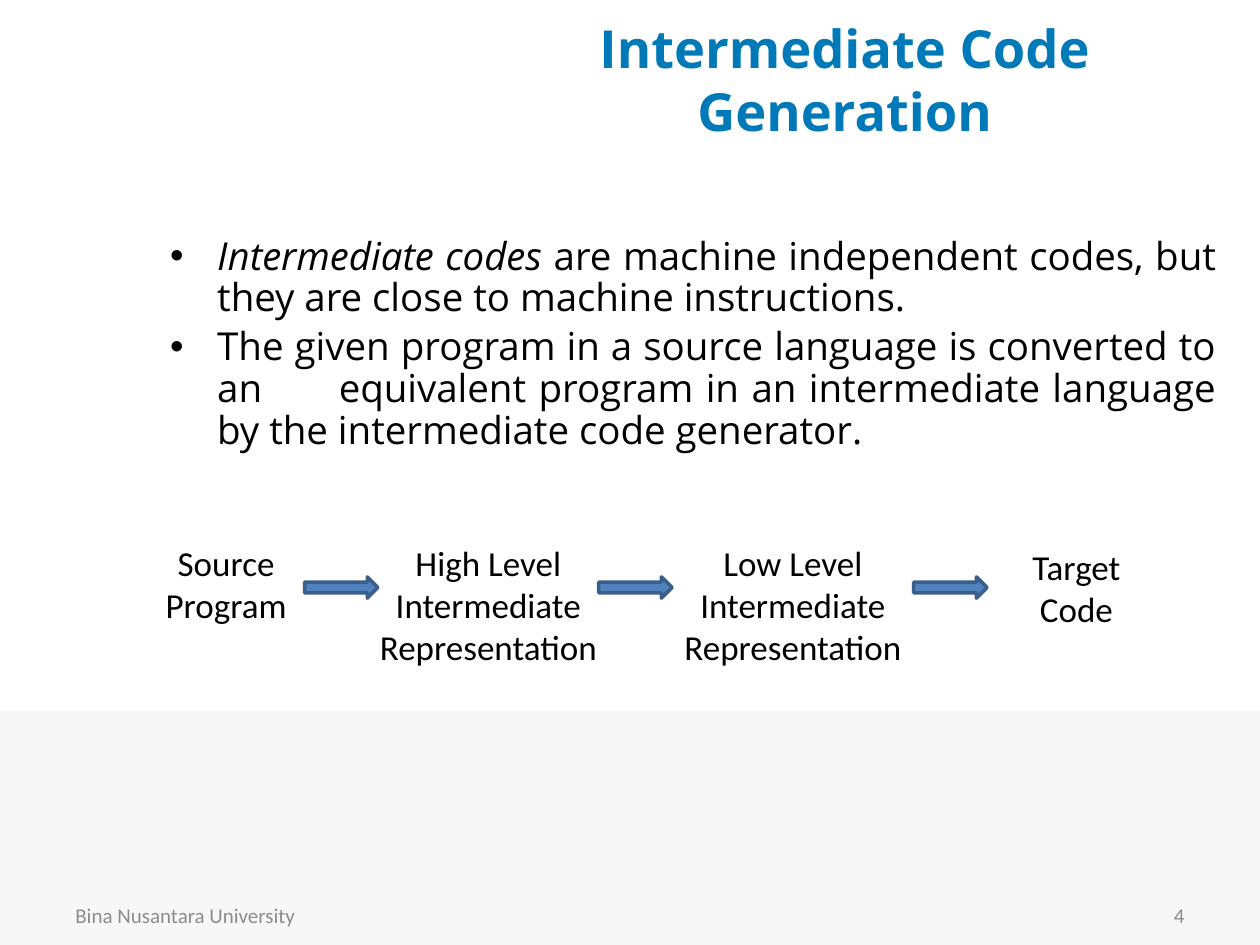
from lxml import etree
from pptx import Presentation
from pptx.dml.color import RGBColor
from pptx.enum.shapes import MSO_SHAPE
from pptx.enum.text import MSO_ANCHOR, PP_ALIGN
from pptx.oxml.ns import qn
from pptx.util import Cm, Pt

RECTANGLE = MSO_SHAPE.RECTANGLE
RIGHT_ARROW = MSO_SHAPE.RIGHT_ARROW
TOP, MIDDLE = MSO_ANCHOR.TOP, MSO_ANCHOR.MIDDLE
LEFT, CENTER, RIGHT, JUSTIFY = PP_ALIGN.LEFT, PP_ALIGN.CENTER, PP_ALIGN.RIGHT, PP_ALIGN.JUSTIFY

COLORS = {
    "band": "F7F7F7",
    "title": "0079B8",
    "text": "000000",
    "footer": "8C8C8C",
    "arrow": "4F81BD",
    "arrow_line": "3A5F8C",
}
HEADING_FONT = "Open Sans"
LABEL_FONT = "Calibri"

BULLETS = [
    [("Intermediate codes", True),
     (" are machine independent codes, but they are close to machine instructions.", False)],
    [("The given program in a source language is converted to an\tequivalent program "
      "in an intermediate language by the intermediate code generator.", False)],
]
STAGES = [
    (2.97, 10.8, 3.18, ["Source", "Program"]),
    (7.2, 10.8, 5.29, ["High Level", "Intermediate", "Representation"]),
    (13.34, 10.8, 5.29, ["Low Level", "Intermediate", "Representation"]),
    (19.69, 10.88, 4.02, ["Target", "Code"]),
]
ARROW_LEFTS = [6.14, 12.07, 18.42]


class SlideBuilder:
    def __init__(self, presentation):
        self.slide = presentation.slides.add_slide(presentation.slide_layouts[6])

    def color(self, name):
        return RGBColor.from_string(COLORS[name])

    def style(self, paragraph, font_name, size, color, bold=False):
        font = paragraph.font
        font.name, font.size, font.bold = font_name, Pt(size), bold
        font.color.rgb = self.color(color)

    def shape(self, kind, left, top, width, height, fill, line=None):
        shape = self.slide.shapes.add_shape(kind, Cm(left), Cm(top), Cm(width), Cm(height))
        shape.shadow.inherit = False
        shape.fill.solid()
        shape.fill.fore_color.rgb = self.color(fill)
        if line:
            shape.line.color.rgb = self.color(line)
            shape.line.width = Pt(2)
        else:
            shape.line.fill.background()

    def frame(self, left, top, width, height, anchor):
        box = self.slide.shapes.add_textbox(Cm(left), Cm(top), Cm(width), Cm(height))
        box.text_frame.word_wrap = True
        box.text_frame.vertical_anchor = anchor
        return box.text_frame

    def text(self, left, top, width, height, lines, font_name, size, color,
             alignment=LEFT, anchor=MIDDLE, bold=False):
        frame = self.frame(left, top, width, height, anchor)
        frame.text = "\n".join(lines)
        for paragraph in frame.paragraphs:
            paragraph.alignment = alignment
            self.style(paragraph, font_name, size, color, bold)

    def bullets(self, left, top, width, height, items):
        frame = self.frame(left, top, width, height, TOP)
        for index, runs in enumerate(items):
            paragraph = frame.paragraphs[0] if index == 0 else frame.add_paragraph()
            paragraph.alignment = JUSTIFY
            paragraph.line_spacing = 0.9
            if index:
                paragraph.space_before = Pt(4.4)
            properties = paragraph._p.get_or_add_pPr()
            properties.set("marL", str(Cm(0.95)))
            properties.set("indent", str(Cm(-0.95)))
            etree.SubElement(properties, qn("a:buFont"), typeface="Arial")
            etree.SubElement(properties, qn("a:buChar"), char="•")
            tabs = etree.SubElement(properties, qn("a:tabLst"))
            etree.SubElement(tabs, qn("a:tab"), pos=str(Cm(3.4)), algn="l")
            self.style(paragraph, HEADING_FONT, 22, "text")
            for content, italic in runs:
                run = paragraph.add_run()
                run.text = content
                run.font.italic = italic


def main():
    presentation = Presentation()
    presentation.slide_width, presentation.slide_height = Cm(25.4), Cm(19.05)
    builder = SlideBuilder(presentation)
    builder.shape(RECTANGLE, 0, 14.33, 25.4, 4.72, "band")
    builder.text(9.09, 0.43, 15.88, 2.34, ["Intermediate Code Generation"],
                 HEADING_FONT, 30, "title", CENTER, bold=True)
    builder.bullets(3.18, 4.65, 21.59, 13.77, BULLETS)
    for left, content, alignment in [(1.27, "Bina Nusantara University", LEFT),
                                     (18.21, "4", RIGHT)]:
        builder.text(left, 17.93, 5.92, 1.02, [content], LABEL_FONT, 12, "footer", alignment)
    for left, top, width, lines in STAGES:
        height = 0.25 + 0.85 * len(lines)
        builder.text(left, top, width, height, lines, LABEL_FONT, 20, "text", CENTER, TOP)
    for left in ARROW_LEFTS:
        builder.shape(RIGHT_ARROW, left, 11.63, 1.48, 0.43, "arrow", "arrow_line")
    presentation.save("out.pptx")


if __name__ == "__main__":
    main()
